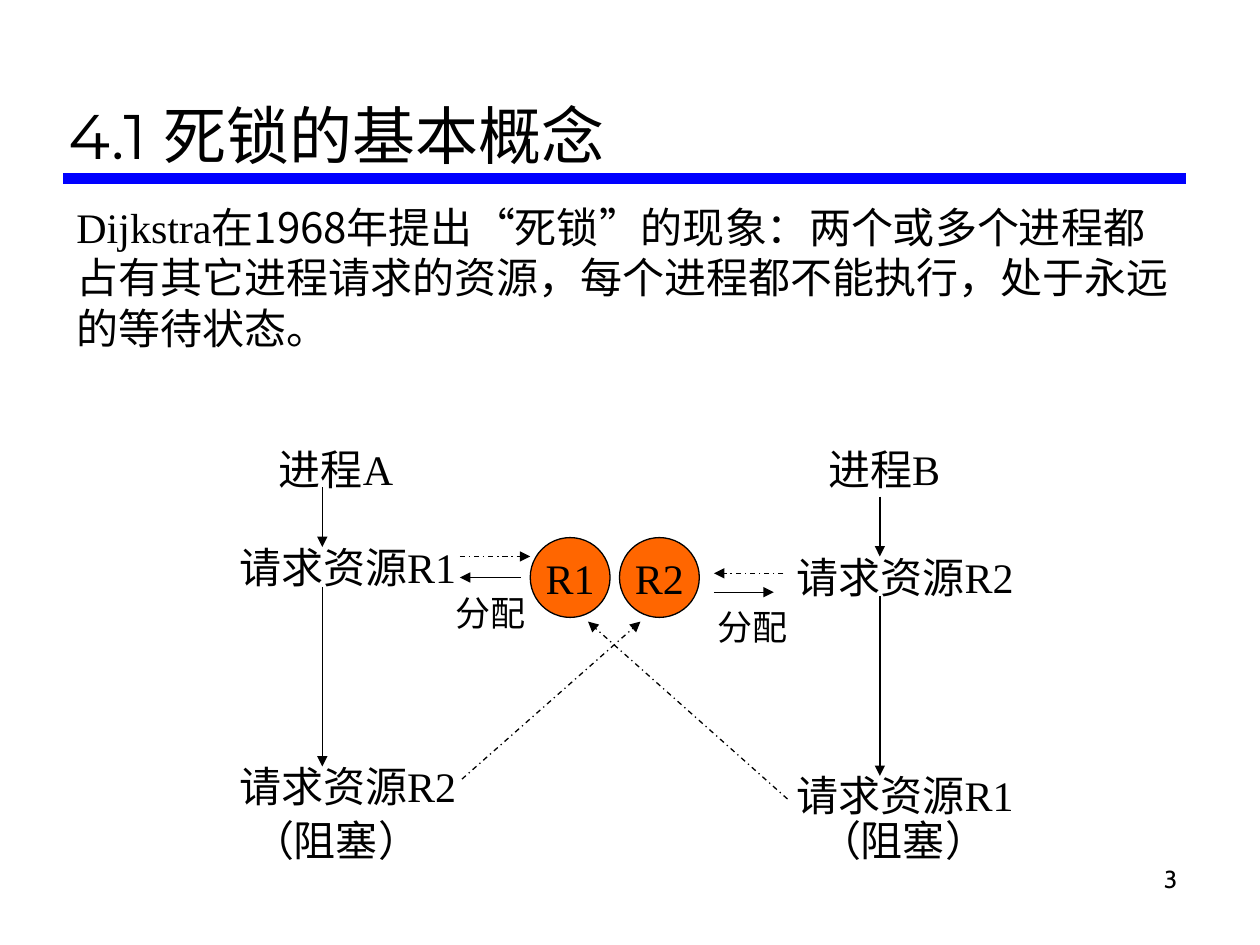
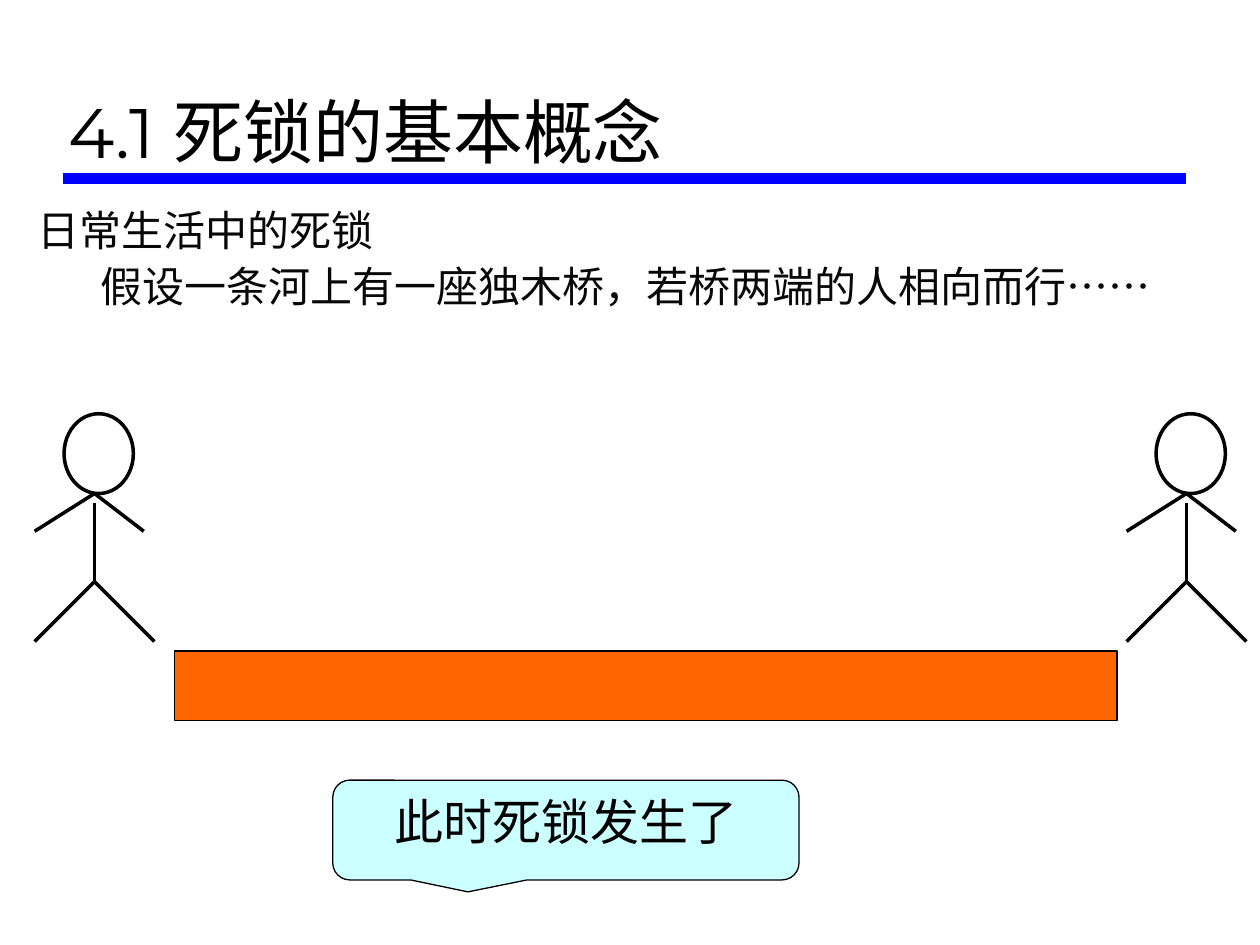
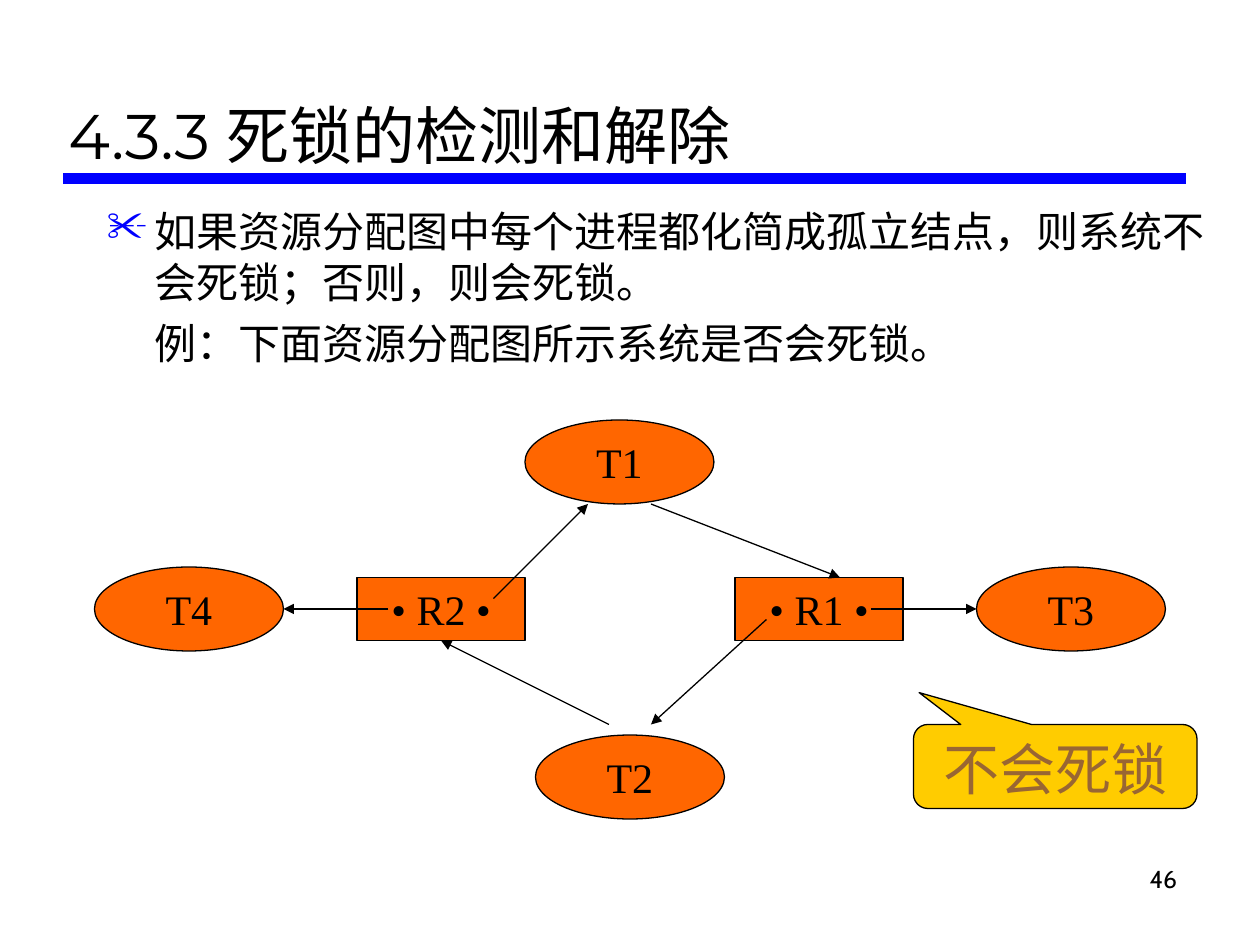
import pptx
import pptx.dml.color
import pptx.enum.dml
import pptx.enum.shapes
import pptx.enum.text
import pptx.oxml
import pptx.oxml.ns
import pptx.util

WIDTH, HEIGHT = pptx.util.Inches(10), pptx.util.Inches(7.5)
COLUMNS, ROWS = 120, 90
COLOURS = {"ink": "000000", "soft_ink": "080808", "band": "0000FF", "node": "FF6600",
           "event": "CCFFFF", "answer": "FFCC00", "answer_ink": "996633"}
SERIF, SANS, TITLE, SMALL = "Times New Roman", "Noto Sans CJK SC", "Montserrat", "Cabin"
KIND = pptx.enum.shapes.MSO_SHAPE
ALIGN = pptx.enum.text.PP_ALIGN
ANCHOR = pptx.enum.text.MSO_ANCHOR


def across(columns):
    """Turn grid columns into a length."""
    return round(WIDTH * columns / COLUMNS)


def down(rows):
    """Turn grid rows into a length."""
    return round(HEIGHT * rows / ROWS)


def place(left, top, width, height):
    """Turn a box on the grid into lengths."""
    return across(left), down(top), across(width), down(height)


def rgb(name):
    """Look up a colour."""
    return pptx.dml.color.RGBColor.from_string(COLOURS[name])


def add_xml(parent, tag, **attributes):
    """Append a drawing element to its parent."""
    child = parent.makeelement(pptx.oxml.ns.qn(tag), attributes)
    parent.append(child)
    return child


def style(font, size, face, colour="ink"):
    """Set size, face and colour of a font."""
    font.size, font.name = pptx.util.Pt(size), face
    font.color.rgb = rgb(colour)


def write(frame, text, size, face, colour="ink", align=ALIGN.CENTER,
          anchor=ANCHOR.MIDDLE, wrap=False):
    """Fill a text frame with one paragraph."""
    frame.word_wrap, frame.vertical_anchor = wrap, anchor
    frame.auto_size = pptx.enum.text.MSO_AUTO_SIZE.NONE
    paragraph = frame.paragraphs[0]
    paragraph.text, paragraph.alignment = text, align
    style(paragraph.font, size, face, colour)
    return paragraph


def add_label(slide, text, centre, middle, size=24):
    """Centre a short label on a grid point."""
    box = slide.shapes.add_textbox(*place(centre - 10, middle - 2.8, 20, 5.6))
    write(box.text_frame, text, size, SERIF)


def add_body(slide, box, first, second=None, colour="ink"):
    """Add the running text of a slide and return its paragraphs."""
    frame = slide.shapes.add_textbox(*place(*box)).text_frame
    paragraphs = [write(frame, first, 24, SANS, colour, ALIGN.LEFT, ANCHOR.TOP, True)]
    if second:
        paragraph = frame.add_paragraph()
        paragraph.text, paragraph.space_before = second, pptx.util.Pt(6)
        style(paragraph.font, 24, SANS, colour)
        paragraphs.append(paragraph)
    return paragraphs


def add_line(slide, start, end, weight=0.75, colour="ink", arrow=False, dashed=False):
    """Join two grid points, with an arrowhead at the end if wanted."""
    line = slide.shapes.add_connector(
        pptx.enum.shapes.MSO_CONNECTOR.STRAIGHT,
        across(start[0]), down(start[1]), across(end[0]), down(end[1]))
    line.line.width = pptx.util.Pt(weight)
    line.line.color.rgb = rgb(colour)
    if dashed:
        line.line.dash_style = pptx.enum.dml.MSO_LINE.DASH_DOT
    if arrow:
        add_xml(line.line._get_or_add_ln(), "a:tailEnd", type="triangle")
    add_xml(line._element.spPr, "a:effectLst")


def add_node(slide, kind, box, fill="node", text="", weight=0.75):
    """Add an outlined shape, filled and labelled if wanted."""
    node = slide.shapes.add_shape(kind, *place(*box))
    node.shadow.inherit = False
    if fill:
        node.fill.solid()
        node.fill.fore_color.rgb = rgb(fill)
    else:
        node.fill.background()
    node.line.color.rgb = rgb("ink")
    node.line.width = pptx.util.Pt(weight)
    if text:
        write(node.text_frame, text, 24, SERIF)
    return node


def add_callout(slide, box, tip, fill, text, size, face, colour="ink"):
    """Add a rounded callout whose tip is given in shares of its size."""
    callout = add_node(slide, KIND.ROUNDED_RECTANGULAR_CALLOUT, box, fill)
    for index, share in enumerate((*tip, 0.17)):
        callout.adjustments[index] = share
    write(callout.text_frame, text, size, face, colour, anchor=ANCHOR.TOP, wrap=True)


def add_slide(deck, title, size=36, number=None):
    """Add a slide with its title, band and page number."""
    slide = deck.slides.add_slide(deck.slide_layouts[5])
    heading = slide.shapes.title
    heading.left, heading.top, heading.width, heading.height = place(5.3, 2, 107.6, 15)
    write(heading.text_frame, title, size, TITLE, align=ALIGN.LEFT,
          anchor=ANCHOR.BOTTOM, wrap=True)
    add_line(slide, (6, 17), (113, 17), 6, "band")
    if number:
        page = slide.shapes.add_textbox(*place(88.3, 81.7, 25, 6))
        write(page.text_frame, number, 14, SMALL, align=ALIGN.RIGHT,
              anchor=ANCHOR.TOP, wrap=True)
    return slide


def add_process(slide, name, spine, drop, resources, name_centre, blocked_centre):
    """Add one process with its two requests down a spine."""
    add_label(slide, name, name_centre, 44.6)
    for resource, middle, start, end in zip(resources, (54, 74.8), (46.4, 55.9), (52.1, 73)):
        add_label(slide, "请求资源" + resource, spine + 2.4, middle + drop)
        add_line(slide, (spine, start + drop), (spine, end + drop), arrow=True)
    add_label(slide, "（阻塞）", blocked_centre, 80)


def add_allocation(slide, request, grant, centre, middle):
    """Add a dashed request, a solid grant and the word for the grant."""
    add_line(slide, *request, arrow=True, dashed=True)
    add_line(slide, *grant, arrow=True)
    add_label(slide, "分配", centre, middle, 20)


def add_person(slide, neck):
    """Add a stick figure around the column of its neck."""
    add_node(slide, KIND.OVAL, (neck - 2.9, 39.4, 6.6, 7.6), None, weight=2)
    strokes = (((0, 47), (-5.7, 50.6)), ((0, 47), (4.7, 50.6)), ((0, 47.9), (0, 55.4)),
               ((0, 55.4), (-5.7, 61.1)), ((0, 55.4), (5.7, 61.1)))
    for (start, top), (end, bottom) in strokes:
        add_line(slide, (neck + start, top), (neck + end, bottom), 2)


def build_concept(deck):
    """Show two processes that wait for each other."""
    slide = add_slide(deck, "4.1 死锁的基本概念", number="3")
    definition, = add_body(
        slide, (6.1, 18.6, 107.3, 20), "Dijkstra")
    style(definition.runs[0].font, 24, SERIF)
    definition.add_run().text = ("在1968年提出“死锁”的现象：两个或多个进程都占有其它进程请求的资源，"
                                 "每个进程都不能执行，处于永远的等待状态。")
    add_process(slide, "进程A", 30.7, 0, ("R1", "R2"), 32, 32)
    add_process(slide, "进程B", 83.8, 0.9, ("R2", "R1"), 84.2, 86)
    for resource, left in (("R1", 50.5), ("R2", 59)):
        add_node(slide, KIND.OVAL, (left, 51.2, 7.6, 7.6), text=resource)
    add_allocation(slide, ((43.8, 53), (50.5, 53)), ((49.6, 55), (43.8, 55)), 46.7, 58.3)
    add_allocation(slide, ((74.6, 54.6), (68, 54.6)), ((68, 56.4), (73.7, 56.4)), 71.7, 59.7)
    for start, end in (((44, 74.2), (61, 59.2)), ((75, 76.1), (56, 59.2))):
        add_line(slide, start, end, arrow=True, dashed=True)


def build_bridge(deck):
    """Show two people at the ends of a narrow bridge."""
    slide = add_slide(deck, "4.1 死锁的基本概念", 40)
    add_node(slide, KIND.RECTANGLE, (16.6, 62, 89.8, 6.6))
    story = add_body(slide, (2.4, 19.4, 114.4, 16), "日常生活中的死锁",
                     "假设一条河上有一座独木桥，若桥两端的人相向而行……", "soft_ink")
    for paragraph in story:
        paragraph.line_spacing = 0.9
    story[1]._p.get_or_add_pPr().set("marL", str(across(6)))
    for neck in (9, 113):
        add_person(slide, neck)
    add_callout(slide, (31.7, 74.3, 44.4, 9.5), (-0.21, 0.62), "event",
                "此时死锁发生了", 28, SMALL)


def build_detection(deck):
    """Show a resource allocation graph and the verdict on it."""
    slide = add_slide(deck, "4.3.3 死锁的检测和解除", number="46")
    rule, example = add_body(
        slide, (9, 19, 108, 22), "如果资源分配图中每个进程都化简成孤立结点，则系统不会死锁；否则，则会死锁。",
        "例：下面资源分配图所示系统是否会死锁。")
    for paragraph in (rule, example):
        paragraph._p.get_or_add_pPr().set("marL", str(across(4.5)))
    properties = rule._p.get_or_add_pPr()
    properties.set("indent", str(-across(4.5)))
    font = properties.find(pptx.oxml.ns.qn("a:defRPr"))
    properties.remove(font)
    add_xml(add_xml(properties, "a:buClr"), "a:srgbClr", val=COLOURS["band"])
    add_xml(properties, "a:buChar", char="✂")
    properties.append(font)
    for task, left, top in (("T1", 50, 40), ("T2", 51, 70), ("T3", 93, 54), ("T4", 9, 54)):
        add_node(slide, KIND.OVAL, (left, top, 18, 8), text=task)
    for resource, left in (("R2", 34), ("R1", 70)):
        add_node(slide, KIND.RECTANGLE, (left, 55, 16, 6), text=f"• {resource} •")
    edges = (((47, 57), (56, 48)), ((62, 48), (80, 55)), ((83, 58), (93, 58)),
             ((73, 59), (62, 69)), ((58, 69), (42, 61)), ((37, 58), (27, 58)))
    for start, end in edges:
        add_line(slide, start, end, arrow=True)
    add_callout(slide, (87, 69, 27, 8), (-0.48, -0.88), "answer",
                "不会死锁", 32, SERIF, "answer_ink")


def main():
    """Build the deck and save it."""
    deck = pptx.Presentation()
    deck.slide_width, deck.slide_height = WIDTH, HEIGHT
    build_concept(deck)
    build_bridge(deck)
    build_detection(deck)
    deck.save("out.pptx")


if __name__ == "__main__":
    main()
